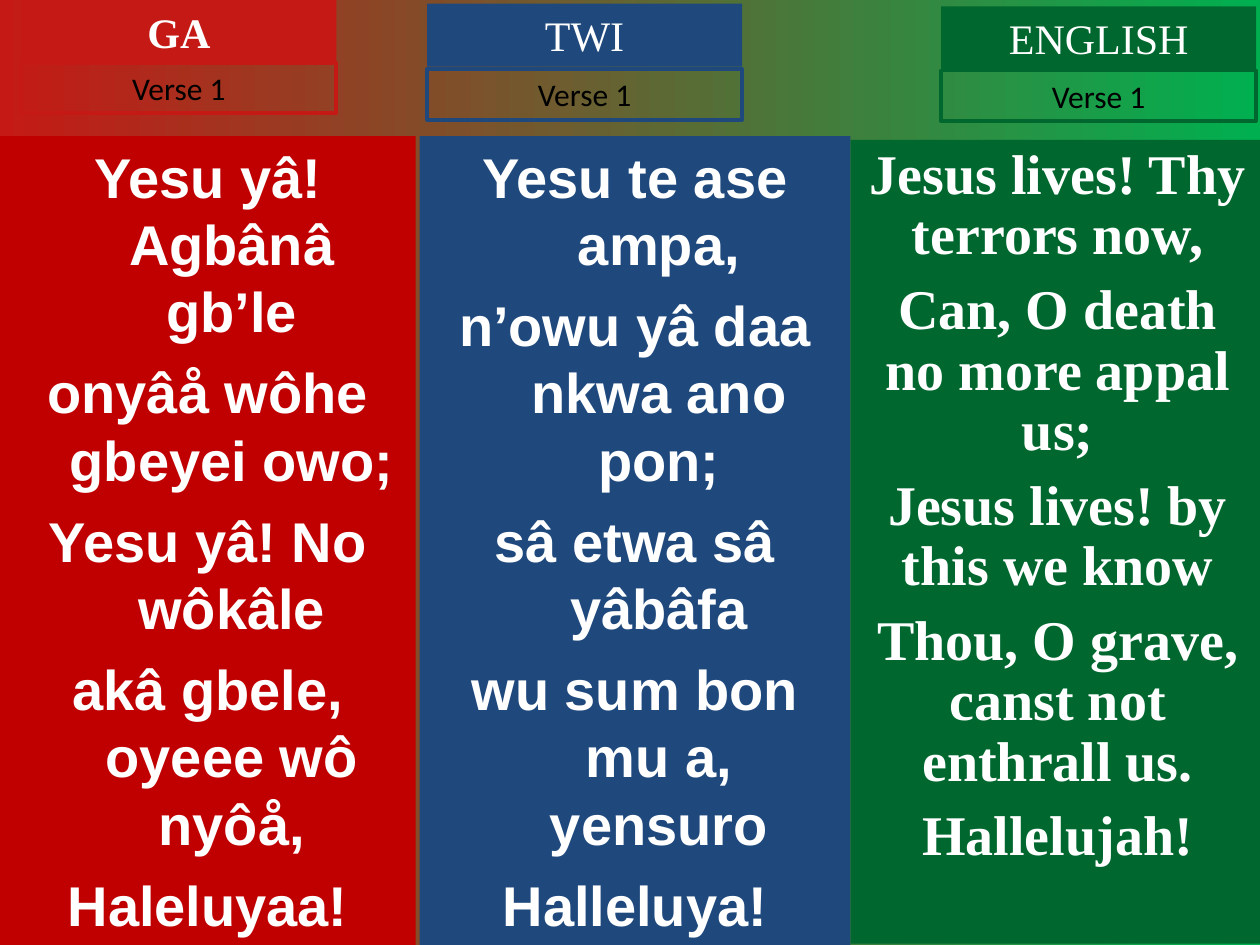
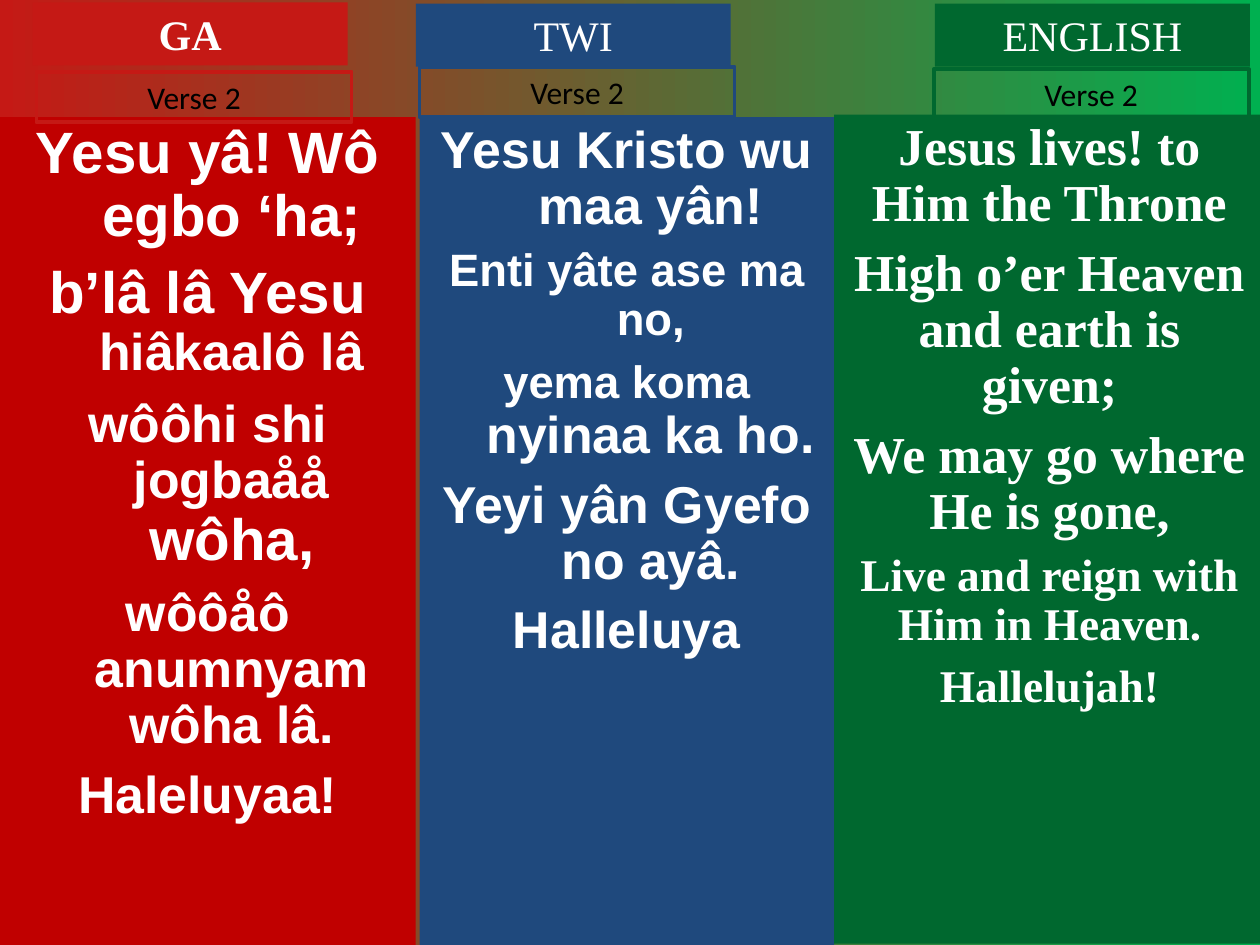
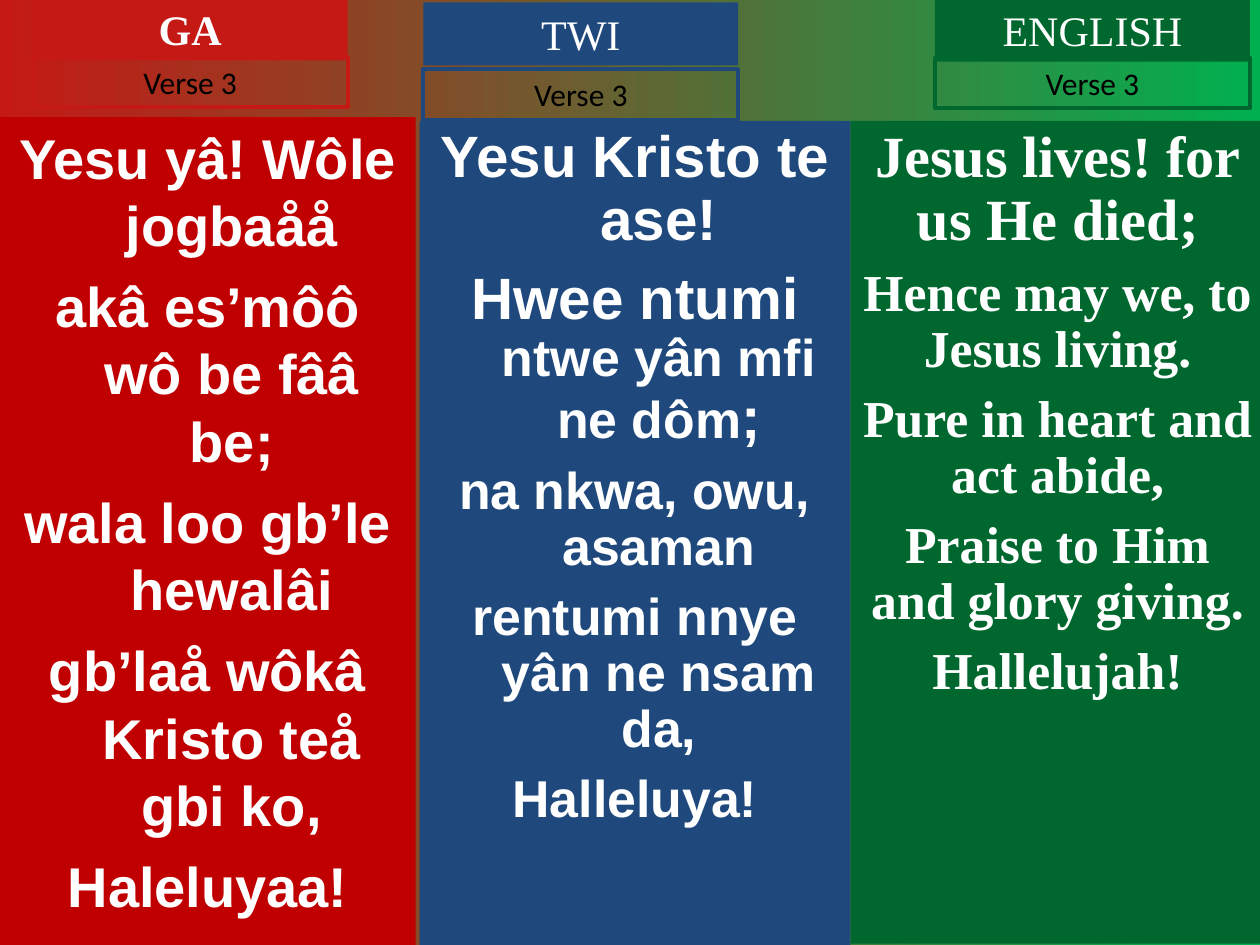
"""Build a three-language hymn deck with one verse on each slide."""
from pptx import Presentation
from pptx.dml.color import RGBColor
from pptx.enum.text import MSO_ANCHOR, MSO_AUTO_SIZE, PP_ALIGN
from pptx.util import Inches, Pt

COLORS = {
    "red": "C51915", "deep red": "C00000", "blue": "1F497D",
    "green": "00682F", "bright green": "00B050",
    "white": "FFFFFF", "black": "000000",
}
WIDTH, HEIGHT = 10, 7.5
LABEL_WIDTH, TITLE_HEIGHT, VERSE_HEIGHT = WIDTH / 4, 0.5, 0.4
GA_RIGHT, TWI_LEFT, ENGLISH_RIGHT = 3.3, 3.33, 10.04
HANGING = 0.38
LARGE, FULL, MEDIUM, SMALL = 33.3, 32, 29.6, 25.9

LANGUAGES = [
    {"name": "GA", "label": "red", "column": "deep red", "font": "Arial",
     "indent": HANGING, "bold": True, "bottom": HEIGHT},
    {"name": "TWI", "label": "blue", "column": "blue", "font": "Arial",
     "indent": HANGING, "bold": False, "bottom": HEIGHT},
    {"name": "ENGLISH", "label": "green", "column": "green", "font": "Times New Roman",
     "indent": 0, "bold": False, "bottom": 7.49},
]

VERSES = [
    {
        "english left": 6.75,
        "tops": [1.08, 1.08, 1.11],
        "titles": [(0.17, 0), (3.39, 0.03), (7.47, 0.05)],
        "verses": [(0.17, 0.5), (3.39, 0.55), (7.47, 0.56)],
        "spacing": [1.0, 1.0, 0.9],
        "lyrics": [
            [
                [("Yesu yâ! Agbânâ gb’le", FULL)],
                [("onyâå wôhe gbeyei owo;", FULL)],
                [("Yesu yâ! No wôkâle", FULL)],
                [("akâ gbele, oyeee wô nyôå,", FULL)],
                [("Haleluyaa!", FULL)],
            ],
            [
                [("Yesu te ase ampa,", FULL)],
                [("n’owu yâ daa nkwa ano pon;", FULL)],
                [("sâ etwa sâ yâbâfa", FULL)],
                [("wu sum bon mu a, yensuro", FULL)],
                [("Halleluya!", FULL)],
            ],
            [
                [("Jesus lives! Thy terrors now,", FULL)],
                [("Can, O death no more appal us;", FULL)],
                [("Jesus lives! by this we know", FULL)],
                [("Thou, O grave, canst not enthrall us.", FULL)],
                [("Hallelujah!", FULL)],
            ],
        ],
    },
    {
        "english left": 6.62,
        "tops": [0.93, 0.93, 0.91],
        "titles": [(0.26, 0.02), (3.3, 0.03), (7.42, 0.03)],
        "verses": [(0.29, 0.57), (3.33, 0.53), (7.41, 0.55)],
        "spacing": [0.9, 0.9, 0.9],
        "lyrics": [
            [
                [("Yesu yâ! Wô egbo ‘ha;", LARGE)],
                [("b’lâ lâ Yesu ", LARGE), ("hiâkaalô lâ", MEDIUM)],
                [("wôôhi shi jogbaåå ", MEDIUM), ("wôha,", LARGE)],
                [("wôôåô anumnyam wôha lâ.", MEDIUM)],
                [("Haleluyaa!", MEDIUM)],
            ],
            [
                [("Yesu Kristo wu maa yân!", MEDIUM)],
                [("Enti yâte ase ma no,", SMALL)],
                [("yema koma ", SMALL), ("nyinaa ka ho.", MEDIUM)],
                [("Yeyi yân Gyefo no ayâ.", MEDIUM)],
                [("Halleluya", MEDIUM)],
            ],
            [
                [("Jesus lives! to Him the Throne", MEDIUM)],
                [("High o’er Heaven and earth is given;", MEDIUM)],
                [("We may go where He is gone,", MEDIUM)],
                [("Live and reign with Him in Heaven.", SMALL)],
                [("Hallelujah!", SMALL)],
            ],
        ],
    },
    {
        "english left": 6.75,
        "tops": [0.93, 0.96, 0.96],
        "titles": [(0.26, -0.02), (3.36, 0.02), (7.42, -0.01)],
        "verses": [(0.26, 0.45), (3.36, 0.55), (7.42, 0.46)],
        "spacing": [1.0, 0.9, 0.9],
        "lyrics": [
            [
                [("Yesu yâ! Wôle jogbaåå", FULL)],
                [("akâ es’môô wô be fââ be;", FULL)],
                [("wala loo gb’le hewalâi", FULL)],
                [("gb’laå wôkâ Kristo teå gbi ko,", FULL)],
                [("Haleluyaa!", FULL)],
            ],
            [
                [("Yesu Kristo te ase!", LARGE)],
                [("Hwee ntumi ", LARGE), ("ntwe yân mfi ne dôm", MEDIUM), (";", LARGE)],
                [("na nkwa, owu, asaman", MEDIUM)],
                [("rentumi nnye yân ne nsam da,", MEDIUM)],
                [("Halleluya!", MEDIUM)],
            ],
            [
                [("Jesus lives! for us He died;", LARGE)],
                [("Hence may we, to Jesus living.", MEDIUM)],
                [("Pure in heart and act abide,", MEDIUM)],
                [("Praise to Him and glory giving.", MEDIUM)],
                [("Hallelujah!", MEDIUM)],
            ],
        ],
    },
]


def rgb(name):
    return RGBColor.from_string(COLORS[name])


def add_box(page, left, top, width, height, lines, font, color, bold,
            fill=None, line=None, spacing=1.0, indent=0, grow=True):
    box = page.shapes.add_textbox(Inches(left), Inches(top), Inches(width), Inches(height))
    if fill:
        box.fill.solid()
        box.fill.fore_color.rgb = rgb(fill)
    if line:
        box.line.color.rgb = rgb(line)
        box.line.width = Pt(2.25)
    frame = box.text_frame
    frame.word_wrap = True
    frame.vertical_anchor = MSO_ANCHOR.TOP
    frame.auto_size = MSO_AUTO_SIZE.SHAPE_TO_FIT_TEXT if grow else MSO_AUTO_SIZE.NONE
    for number, spans in enumerate(lines):
        para = frame.add_paragraph() if number else frame.paragraphs[0]
        para.alignment = PP_ALIGN.CENTER
        para.line_spacing = spacing
        if number:
            para.space_before = Pt(round(spans[-1][1] * 0.26))
        if indent:
            properties = para._p.get_or_add_pPr()
            properties.set("marL", str(Inches(indent)))
            properties.set("indent", str(-Inches(indent)))
        para.font.name = font
        para.font.bold = bold
        para.font.color.rgb = rgb(color)
        for text, size in spans:
            span = para.add_run()
            span.text = text
            span.font.size = Pt(size)


deck = Presentation()
deck.slide_width, deck.slide_height = Inches(WIDTH), Inches(HEIGHT)
backdrop = deck.slide_master.background.fill
backdrop.gradient()
backdrop.gradient_angle = 0
for stop, name in zip(backdrop.gradient_stops, ("red", "bright green")):
    stop.color.rgb = rgb(name)

for number, verse in enumerate(VERSES, start=1):
    page = deck.slides.add_slide(deck.slide_layouts[6])
    split = verse["english left"]
    edges = [(0, GA_RIGHT), (TWI_LEFT, split), (split, ENGLISH_RIGHT)]
    for index, language in enumerate(LANGUAGES):
        left, right = edges[index]
        top = verse["tops"][index]
        add_box(page, left, top, right - left, language["bottom"] - top,
                verse["lyrics"][index], language["font"], "white", True,
                fill=language["column"], spacing=verse["spacing"][index],
                indent=language["indent"], grow=False)
        add_box(page, *verse["titles"][index], LABEL_WIDTH, TITLE_HEIGHT,
                [[(language["name"], 24)]], "Times New Roman", "white",
                language["bold"], fill=language["label"])
        add_box(page, *verse["verses"][index], LABEL_WIDTH, VERSE_HEIGHT,
                [[(f"Verse {number}", 18)]], "Calibri", "black", False,
                line=language["label"])

deck.save("out.pptx")
